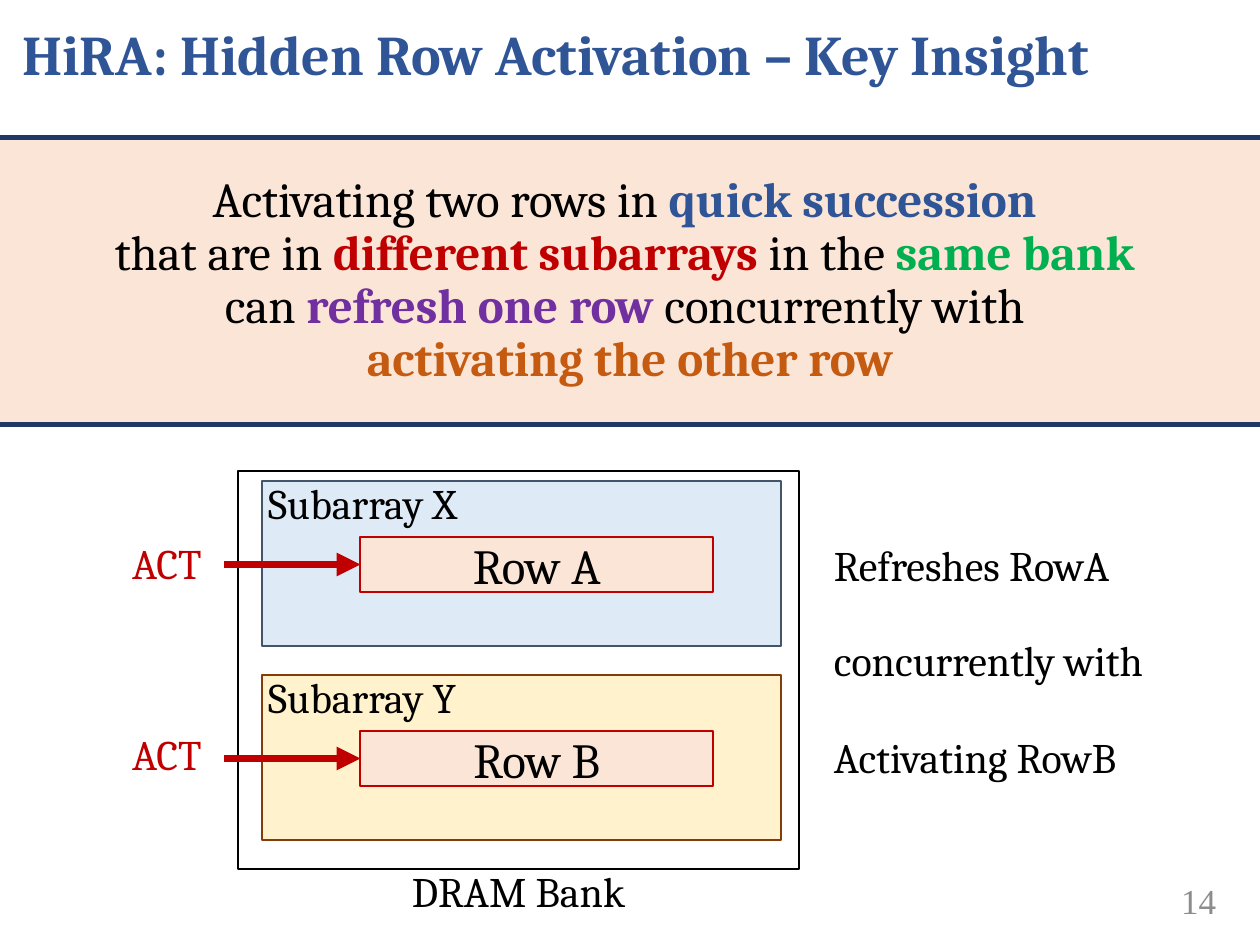
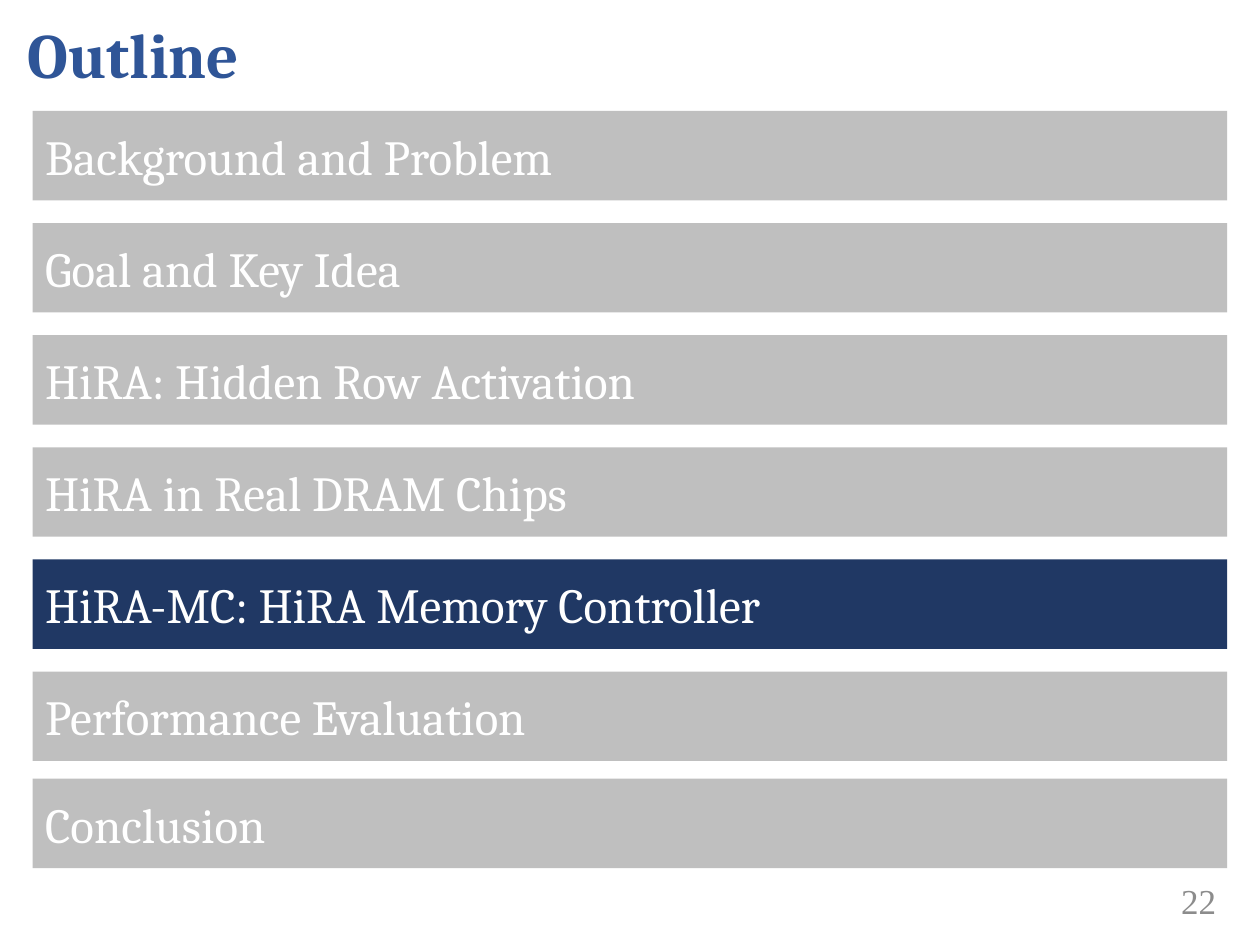
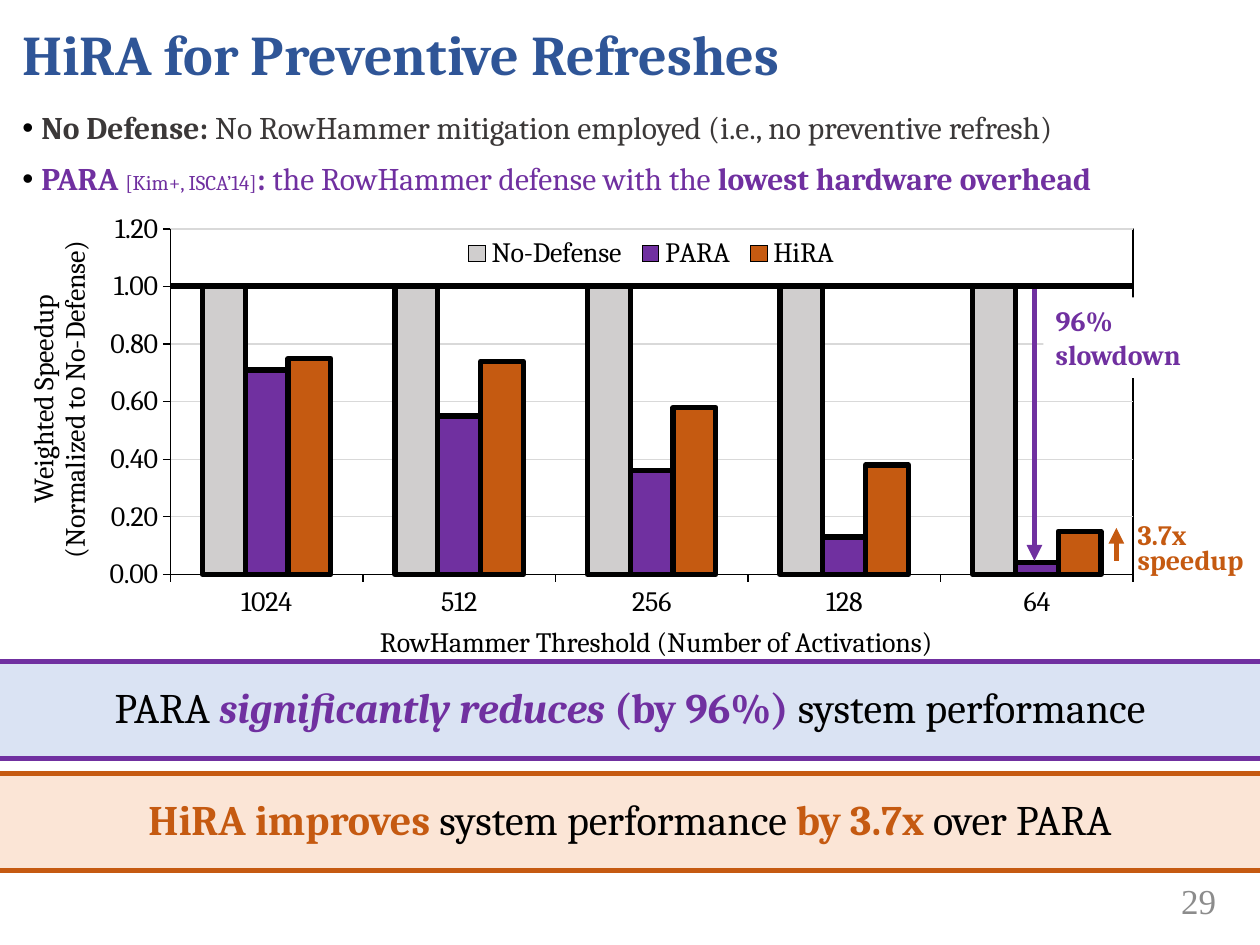
from lxml import etree
from pptx import Presentation
from pptx.chart.data import CategoryChartData
from pptx.dml.color import RGBColor
from pptx.enum.chart import XL_CHART_TYPE, XL_LEGEND_POSITION, XL_TICK_MARK
from pptx.enum.shapes import MSO_CONNECTOR, MSO_SHAPE
from pptx.enum.text import MSO_ANCHOR, PP_ALIGN
from pptx.oxml.ns import qn
from pptx.util import Inches, Pt

RECT = MSO_SHAPE.RECTANGLE
STRAIGHT = MSO_CONNECTOR.STRAIGHT
MIDDLE = MSO_ANCHOR.MIDDLE
TOP = MSO_ANCHOR.TOP
LEFT, CENTER, RIGHT = PP_ALIGN.LEFT, PP_ALIGN.CENTER, PP_ALIGN.RIGHT
COLUMN = XL_CHART_TYPE.COLUMN_CLUSTERED
BOTTOM = XL_LEGEND_POSITION.BOTTOM
OUTSIDE = XL_TICK_MARK.OUTSIDE


class Theme:
    font, serif = "Cambria", "Times New Roman"
    black, white, dark = "000000", "FFFFFF", "3B3838"
    blue, navy, slate = "2F5597", "203864", "44546A"
    red, green, purple = "C00000", "00B050", "7030A0"
    orange, brown = "C55A11", "843C0B"
    peach, sky, cream, ice = "FBE5D6", "DEEBF7", "FFF2CC", "DAE3F3"
    gray, pale, grid, muted = "BFBFBF", "D0CECE", "D9D9D9", "8C8C8C"
    head, title, big, mid, page, body, small, cite = 36, 32, 28, 24, 20, 18, 16, 12


def write(slide, at, size, lines, fill=None, edge=None, anchor=TOP, wrap=True, font=Theme.font, **form):
    place = [Inches(v) for v in at]
    if fill or edge:
        box = slide.shapes.add_shape(RECT, *place)
        box.shadow.inherit = False
        for paint, color in ((box.fill, fill), (box.line.fill, edge)):
            if color:
                paint.solid()
                paint.fore_color.rgb = RGBColor.from_string(color)
            else:
                paint.background()
        if edge:
            box.line.width = Pt(1)
    else:
        box = slide.shapes.add_textbox(*place)
    frame = box.text_frame
    frame.word_wrap = wrap
    frame.vertical_anchor = anchor
    for n, runs in enumerate(lines):
        para = frame.add_paragraph() if n else frame.paragraphs[0]
        for key, value in {"alignment": LEFT, **form}.items():
            setattr(para, key, value)
        for text, color, *style in runs:
            look = {"name": font, "size": Pt(size), "bold": False, "italic": False}
            look.update(*style)
            for k, part in enumerate(text.split("\n")):
                if k:
                    para.add_line_break()
                if part:
                    run = para.add_run()
                    run.text = part
                    for key, value in look.items():
                        setattr(run.font, key, value)
                    run.font.color.rgb = RGBColor.from_string(color)
    return box


def rule(slide, start, end, color, width=3, arrow=False):
    line = slide.shapes.add_connector(STRAIGHT, *[Inches(v) for v in (*start, *end)])
    line.line.color.rgb = RGBColor.from_string(color)
    line.line.width = Pt(width)
    props = line._element.spPr
    if arrow:
        etree.SubElement(props.find(qn("a:ln")), qn("a:tailEnd"), type="triangle")
    etree.SubElement(props, qn("a:effectLst"))
    return line


T = Theme
BOLD = {"bold": True}
deck = Presentation()
deck.slide_width, deck.slide_height = Inches(10), Inches(7.5)

slides = []
for left, size, title, page in (
    (0.08, T.title, "HiRA: Hidden Row Activation – Key Insight", "14"),
    (0.12, T.head, "Outline", "22"),
    (0.08, T.title, "HiRA for Preventive Refreshes", "29"),
):
    slide = deck.slides.add_slide(deck.slide_layouts[6])
    write(slide, (8.67, 6.95, 1.08, 0.4), T.page, [[(page, T.muted)]],
          anchor=MIDDLE, font=T.serif, alignment=RIGHT)
    write(slide, (left, 0, 9.83, 0.84), size, [[(title, T.blue, BOLD)]],
          anchor=MIDDLE, space_after=Pt(6))
    slides.append(slide)
insight, outline, result = slides

write(insight, (1.89, 3.74, 4.45, 3.16), T.mid, [], edge=T.black)
for mark, top, act, fill, edge in (
    ("XA", 3.82, 4.22, T.sky, T.slate),
    ("YB", 5.36, 5.73, T.cream, T.brown),
):
    write(insight, (2.08, top, 4.12, 1.31), T.mid, [], fill, edge)
    write(insight, (2.03, top - 0.08, 1.77, 0.5), T.mid, [[("Subarray " + mark[0], T.black)]], wrap=False)
    row = write(insight, (2.86, top + 0.44, 2.8, 0.44), T.big, [[("Row " + mark[1], T.black)]],
                T.peach, T.red, MIDDLE, alignment=CENTER)
    arrow = rule(insight, (1.78, top + 0.66), (2.86, top + 0.66), T.red, 4.5, True)
    arrow.end_connect(row, 1)
    write(insight, (0.95, act, 0.8, 0.5), T.mid, [[("ACT", T.red)]], wrap=False)
for text, left, top, width, align in (
    ("Refreshes RowA", 6.52, 4.23, 2.54, LEFT),
    ("concurrently with", 6.52, 4.99, 2.77, LEFT),
    ("Activating RowB", 6.52, 5.76, 2.57, LEFT),
    ("DRAM Bank", 3.15, 6.82, 1.93, CENTER),
):
    write(insight, (left, top, width, 0.5), T.mid, [[(text, T.black)]], wrap=False, alignment=align)

topics = ("Background and Problem", "Goal and Key Idea", "HiRA: Hidden Row Activation",
          "HiRA in Real DRAM Chips", "HiRA-MC: HiRA Memory Controller",
          "Performance Evaluation", "Conclusion")
for n, topic in enumerate(topics):
    write(outline, (0.26, min(0.88 + 0.89 * n, 6.18), 9.48, 0.71), T.big, [[(topic, T.white)]],
          T.navy if n == 4 else T.gray, anchor=MIDDLE)

data = CategoryChartData(number_format="#,##0.00")
data.categories = ["1024", "512", "256", "128", "64"]
data.add_series("No-Defense", [1] * 5)
data.add_series("PARA", [0.71, 0.55, 0.36, 0.13, 0.04])
data.add_series("HiRA", [0.75, 0.74, 0.58, 0.38, 0.15])
chart = result.shapes.add_chart(COLUMN, *[Inches(v) for v in (-0.01, 1.62, 9.33, 3.74)], data).chart
chart.has_title = False
chart.has_legend = True
chart.legend.position = BOTTOM
chart.legend.include_in_layout = False
plot = chart.plots[0]
plot.gap_width, plot.overlap, plot.vary_by_categories = 150, 0, False
for bars, color in zip(plot.series, (T.pale, T.purple, T.orange)):
    bars.format.fill.solid()
    bars.format.fill.fore_color.rgb = RGBColor.from_string(color)
    bars.format.line.color.rgb = RGBColor.from_string(T.black)
    bars.format.line.width = Pt(3)

cats, vals = chart.category_axis, chart.value_axis
for key, value in {"minimum_scale": 0, "maximum_scale": 1.2, "major_unit": 0.2}.items():
    setattr(vals, key, value)
vals.tick_labels.number_format = "#,##0.00"
vals.tick_labels.number_format_is_linked = False
grid = vals.major_gridlines.format.line
grid.color.rgb = RGBColor.from_string(T.grid)
grid.width = Pt(0.75)
fonts = [chart.font, chart.legend.font]
for axis, text in (
    (cats, "RowHammer Threshold (Number of Activations)"),
    (vals, "Weighted Speedup\n(Normalized to No-Defense)"),
):
    axis.major_tick_mark = OUTSIDE
    axis.format.line.color.rgb = RGBColor.from_string(T.black)
    axis.format.line.width = Pt(0.75)
    frame = axis.axis_title.text_frame
    frame.text = text
    fonts += [axis.tick_labels.font, *[para.font for para in frame.paragraphs]]
for font in fonts:
    for key, value in {"name": T.font, "size": Pt(T.small), "bold": False}.items():
        setattr(font, key, value)
    font.color.rgb = RGBColor.from_string(T.black)

area = chart._chartSpace.chart.plotArea
for part, spot, marks in (
    (area, 0, {"layoutTarget": "inner", "xMode": "edge", "yMode": "edge",
               "x": 0.146, "y": 0.053, "w": 0.819, "h": 0.733}),
    (chart.legend._element, 1, {"xMode": "edge", "yMode": "edge", "x": 0.39, "y": 0.06, "w": 0.33, "h": 0.09}),
    (cats.axis_title._element, 1, {"xMode": "edge", "yMode": "edge", "x": 0.32, "y": 0.88}),
    (vals.axis_title._element, 1, {"xMode": "edge", "yMode": "edge", "x": 0.02, "y": 0.07}),
):
    for old in part.findall(qn("c:layout")):
        part.remove(old)
    layout = etree.Element(qn("c:layout"))
    manual = etree.SubElement(layout, qn("c:manualLayout"))
    for key, value in marks.items():
        etree.SubElement(manual, qn("c:" + key), val=str(value))
    part.insert(spot, layout)
props = etree.SubElement(area, qn("c:spPr"))
etree.SubElement(props, qn("a:noFill"))
frame = etree.SubElement(props, qn("a:ln"), w=str(Pt(0.75)))
etree.SubElement(etree.SubElement(frame, qn("a:solidFill")), qn("a:srgbClr"), val=T.black)

notes = write(result, (0.08, 0.84, 9.83, 0.85), T.body, [
    [("No Defense: ", T.dark, BOLD),
     ("No RowHammer mitigation employed (i.e., no preventive refresh)", T.dark)],
    [("PARA ", T.purple, BOLD), ("[Kim+, ISCA’14]", T.purple, {"size": Pt(T.cite)}),
     (":", T.purple, BOLD), (" the RowHammer defense with the ", T.purple),
     ("lowest hardware overhead", T.purple, BOLD)],
], line_spacing=0.9)
notes.text_frame.paragraphs[1].space_before = Pt(10)
for para in notes.text_frame.paragraphs:
    props = para._p.get_or_add_pPr()
    props.set("marL", str(Inches(0.15)))
    props.set("indent", str(Inches(-0.15)))
    tint = etree.SubElement(props, qn("a:buClr"))
    etree.SubElement(tint, qn("a:srgbClr"), val=T.black)
    etree.SubElement(props, qn("a:buFont"), typeface="Arial")
    etree.SubElement(props, qn("a:buChar"), char="•")

rule(result, (8.21, 2.28), (8.21, 4.45), T.purple, arrow=True)
write(result, (8.28, 2.36, 1.28, 0.64), T.small,
      [[("96%", T.purple, BOLD)], [("slowdown", T.purple, BOLD)]], T.white)
rule(result, (8.86, 4.45), (8.86, 4.19), T.orange, arrow=True)
write(result, (8.93, 4.13, 1.14, 0.5), T.small, [[("3.7x\nspeedup", T.orange, BOLD)]], line_spacing=Pt(14.2))
rule(result, (1.36, 2.27), (9, 2.27), T.black)

for slide, top, height, fill, edge, size, runs in (
    (insight, 1.09, 2.28, T.peach, T.navy, T.big, [
        ("Activating two rows in ", T.black), ("quick succession \n", T.blue, BOLD),
        ("that are in ", T.black), ("different subarrays ", T.red, BOLD),
        ("in the", T.black), (" same bank \n", T.green, BOLD),
        ("can ", T.black), ("refresh one row ", T.purple, BOLD),
        ("concurrently with \n", T.black), ("activating the other row", T.orange, BOLD)]),
    (result, 5.25, 0.77, T.ice, T.purple, T.mid, [
        ("PARA ", T.black), ("significantly reduces", T.purple, {"bold": True, "italic": True}),
        (" (by 96%) ", T.purple, BOLD), ("system performance", T.black)]),
    (result, 6.14, 0.77, T.peach, T.orange, T.mid, [
        ("HiRA improves ", T.orange, BOLD), ("system performance ", T.black),
        ("by 3.7x ", T.orange, BOLD), ("over PARA", T.black)]),
):
    write(slide, (0, top, 10, height), size, [runs], fill, anchor=MIDDLE,
          alignment=CENTER, line_spacing=0.9)
    for y in (top, top + height):
        rule(slide, (0, y), (10, y), edge)

deck.save("out.pptx")
